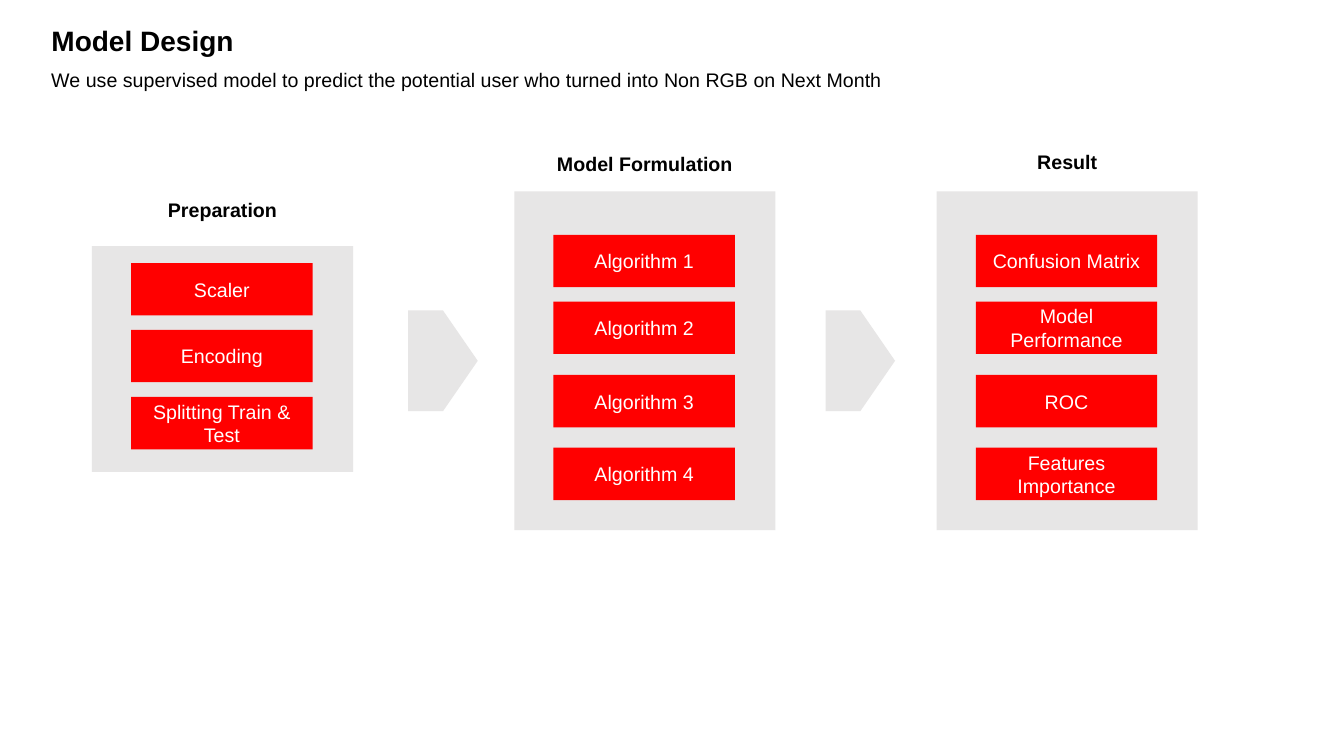
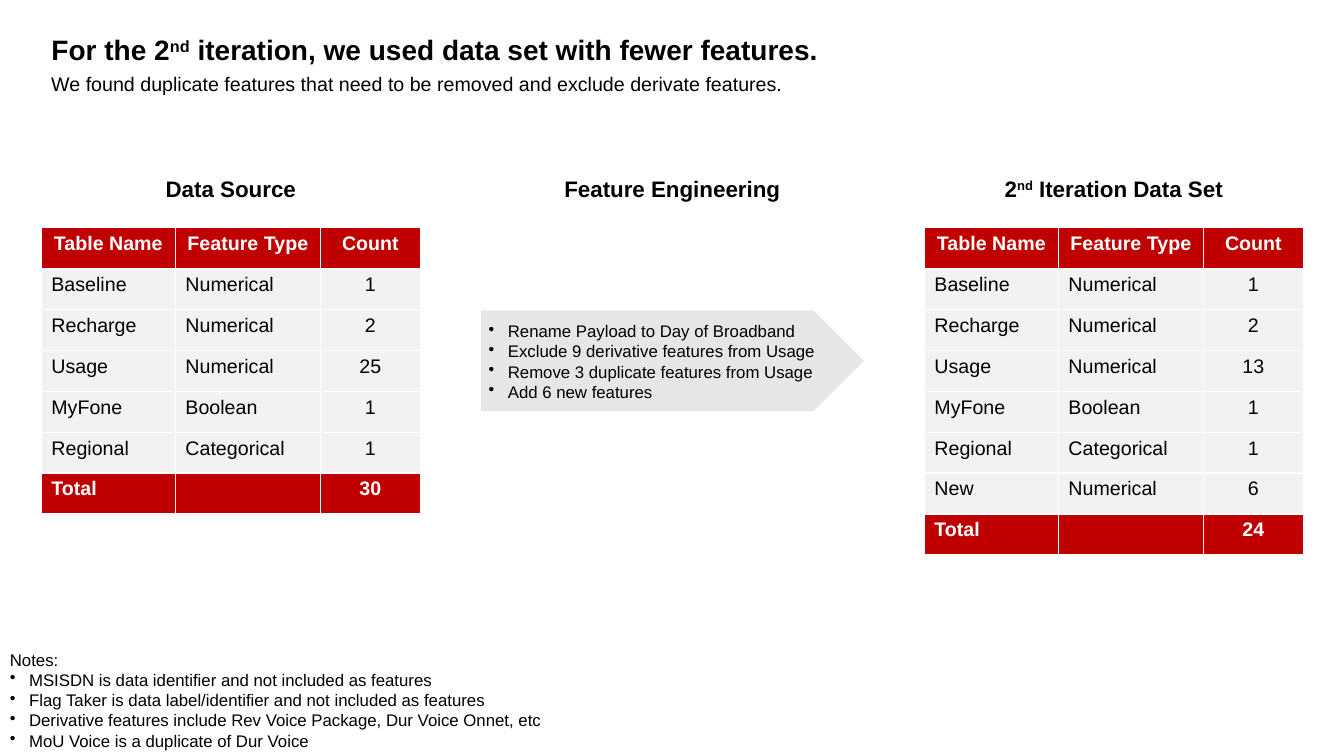
from dataclasses import dataclass

import lxml.etree
import pptx
import pptx.dml.color
import pptx.enum.shapes
import pptx.enum.text
import pptx.oxml.ns
import pptx.util

ALIGN = pptx.enum.text.PP_ALIGN
ANCHOR = pptx.enum.text.MSO_ANCHOR
SHAPE = pptx.enum.shapes.MSO_SHAPE
TITLE_ONLY = 5
COLS, ROWS = 160, 90
qn = pptx.oxml.ns.qn


@dataclass(frozen=True)
class Theme:
    font: str = "Arial"
    ink: str = "000000"
    paper: str = "FFFFFF"
    panel: str = "E7E6E6"
    step: str = "FF0000"
    band: str = "C00000"
    row: str = "F2F2F2"
    title: int = 20
    heading: int = 16
    body: int = 14
    note: int = 12


def rgb(color):
    return pptx.dml.color.RGBColor.from_string(color)


class Deck:
    """Holds the theme and the current slide; boxes are (column, row, columns, rows)."""

    def __init__(self, theme):
        self.theme = theme
        self.prs = pptx.Presentation()
        self.prs.slide_width = pptx.util.Inches(13.33)
        self.prs.slide_height = pptx.util.Inches(7.5)

    def x(self, cols):
        return round(self.prs.slide_width * cols / COLS)

    def y(self, rows):
        return round(self.prs.slide_height * rows / ROWS)

    def place(self, box):
        left, top, width, height = box
        return self.x(left), self.y(top), self.x(width), self.y(height)

    def slide(self, title, title_box, subtitle, subtitle_top):
        self.s = self.prs.slides.add_slide(self.prs.slide_layouts[TITLE_ONLY])
        sp = self.s.shapes.title
        sp.left, sp.top, sp.width, sp.height = self.place(title_box)
        self.fill_text(sp.text_frame, [title], self.theme.title, bold=True)
        sp.text_frame.paragraphs[0].line_spacing = 0.9
        self.text(subtitle, (4.92, subtitle_top, 130, 4.08), self.theme.body)

    def fill_text(self, tf, lines, size, color=None, bold=False,
                  align=ALIGN.LEFT, bullets_from=None):
        """Fill a text frame; ^marks^ raise text, lines from bullets_from on get bullets."""
        tf.word_wrap = True
        tf.auto_size = pptx.enum.text.MSO_AUTO_SIZE.NONE
        tf.vertical_anchor = ANCHOR.MIDDLE
        for i, line in enumerate(lines):
            p = tf.paragraphs[0] if i == 0 else tf.add_paragraph()
            self.style(p, size, color, bold, align)
            for j, part in enumerate(line.split("^")):
                r = p.add_run()
                r.text = part
                if j % 2:
                    r._r.get_or_add_rPr().set("baseline", "30000")
            if bullets_from is not None and i >= bullets_from:
                self.bullet(p)

    def style(self, p, size, color=None, bold=False, align=ALIGN.LEFT):
        p.alignment = align
        p.font.name = self.theme.font
        p.font.size = pptx.util.Pt(size)
        p.font.bold = bold
        p.font.color.rgb = rgb(color or self.theme.ink)

    def bullet(self, p):
        pPr = p._p.get_or_add_pPr()
        indent = pptx.util.Inches(0.19)
        pPr.set("marL", str(indent))
        pPr.set("indent", str(-indent))
        bu = lxml.etree.Element(qn("a:buChar"), char="•")
        pPr.find(qn("a:defRPr")).addprevious(bu)

    def text(self, text, box, size, **style):
        lines = [text] if isinstance(text, str) else text
        tf = self.s.shapes.add_textbox(*self.place(box)).text_frame
        self.fill_text(tf, lines, size, **style)

    def heading(self, text, box, size):
        self.text(text, box, size, bold=True, align=ALIGN.CENTER)

    def shape(self, kind, box, fill):
        sp = self.s.shapes.add_shape(kind, *self.place(box))
        sp.shadow.inherit = False
        sp.fill.solid()
        sp.fill.fore_color.rgb = rgb(fill)
        sp.line.fill.background()
        return sp

    def arrow(self, box):
        sp = self.shape(SHAPE.RIGHT_ARROW, box, self.theme.panel)
        sp.adjustments[0], sp.adjustments[1] = 1, 0.5

    def step(self, text, box):
        sp = self.shape(SHAPE.RECTANGLE, box, self.theme.step)
        self.fill_text(sp.text_frame, [text], self.theme.body,
                       self.theme.paper, align=ALIGN.CENTER)

    def table(self, rows, left, top, widths, row_height):
        box = (left, top, sum(widths), row_height * len(rows))
        table = self.s.shapes.add_table(len(rows), len(widths), *self.place(box)).table
        for column, width in zip(table.columns, widths):
            column.width = self.x(width)
        for i, values in enumerate(rows):
            table.rows[i].height = self.y(row_height)
            strong = i in (0, len(rows) - 1)
            for j, value in enumerate(values):
                cell = table.cell(i, j)
                cell.fill.solid()
                cell.fill.fore_color.rgb = rgb(self.theme.band if strong else self.theme.row)
                self.borders(cell)
                cell.text = value
                centred = i == 0 or j == len(widths) - 1
                self.style(cell.text_frame.paragraphs[0], self.theme.body,
                           self.theme.paper if strong else self.theme.ink, strong,
                           ALIGN.CENTER if centred else ALIGN.LEFT)

    def borders(self, cell):
        tcPr = cell._tc.get_or_add_tcPr()
        for i, side in enumerate(("lnL", "lnR", "lnT", "lnB")):
            ln = lxml.etree.Element(qn("a:" + side), w=str(pptx.util.Pt(1)))
            fill = lxml.etree.SubElement(ln, qn("a:solidFill"))
            lxml.etree.SubElement(fill, qn("a:srgbClr"), val=self.theme.paper)
            tcPr.insert(i, ln)


def model_design(deck):
    deck.slide("Model Design", (4.92, 2.46, 139, 5.28),
               "We use supervised model to predict the potential user "
               "who turned into Non RGB on Next Month", 7.44)
    tall_tops = (27.96, 35.9, 44.64, 53.3)
    stages = (
        ("Preparation", 21.84, 29.3, 26.88, (31.32, 39.27, 47.25),
         ("Scaler", "Encoding", "Splitting Train & Test")),
        ("Model Formulation", 16.32, 22.8, 40.32, tall_tops,
         [f"Algorithm {n}" for n in range(1, 5)]),
        ("Result", 16.08, 22.8, 40.32, tall_tops,
         ("Confusion Matrix", "Model Performance", "ROC", "Features Importance")),
    )
    width, pitch = 31.08, 50.28
    for i, (name, name_top, top, height, step_tops, steps) in enumerate(stages):
        left = 10.95 + i * pitch
        deck.shape(SHAPE.RECTANGLE, (left, top, width, height), deck.theme.panel)
        deck.heading(name, (left, name_top, width, 6.24), deck.theme.body)
        for step, step_top in zip(steps, step_tops):
            deck.step(step, (left + 4.66, step_top, 21.6, 6.24))
    for left in (48.6, 98.28):
        deck.arrow((left, 36.96, 8.28, 12))


def second_iteration(deck):
    deck.slide("For the 2^nd^ iteration, we used data set with fewer features.",
               (4.92, 2.4, 141.36, 7.44),
               "We found duplicate features that need to be removed "
               "and exclude derivate features.", 7.92)
    widths = (15.96, 17.28, 11.88)
    source_left, work_left, result_left = 4.92, 57.24, 110.04
    table_width, work_width = sum(widths), 45.6
    for text, left, width in (
            ("Data Source", source_left, table_width),
            ("Feature Engineering", work_left, work_width),
            ("2^nd^ Iteration Data Set", result_left, table_width)):
        deck.heading(text, (left, 19.32, width, 6.24), deck.theme.heading)

    def feature_rows(usage, total, extra=()):
        return [("Table Name", "Feature Type", "Count"),
                ("Baseline", "Numerical", "1"),
                ("Recharge", "Numerical", "2"),
                ("Usage", "Numerical", usage),
                ("MyFone", "Boolean", "1"),
                ("Regional", "Categorical", "1"),
                *extra,
                ("Total", "", total)]

    for left, rows in (
            (source_left, feature_rows("25", "30")),
            (result_left, feature_rows("13", "24", [("New", "Numerical", "6")]))):
        deck.table(rows, left, 27.12, widths, 4.87)

    deck.arrow((work_left, 36.96, work_width, 12))
    deck.text(("Rename Payload to Day of Broadband",
               "Exclude 9 derivative features from Usage",
               "Remove 3 duplicate features from Usage",
               "Add 6 new features"),
              (57, 38.64, 42, 8.76), deck.theme.note, bullets_from=0)
    deck.text(("Notes:",
               "MSISDN is data identifier and not included as features",
               "Flag Taker is data label/identifier and not included as features",
               "Derivative features include Rev Voice Package, Dur Voice Onnet, etc",
               "MoU Voice is a duplicate of Dur Voice"),
              (0, 76.68, 70.08, 13.32), deck.theme.note, bullets_from=1)


def main():
    deck = Deck(Theme())
    model_design(deck)
    second_iteration(deck)
    deck.prs.save("out.pptx")


if __name__ == "__main__":
    main()
